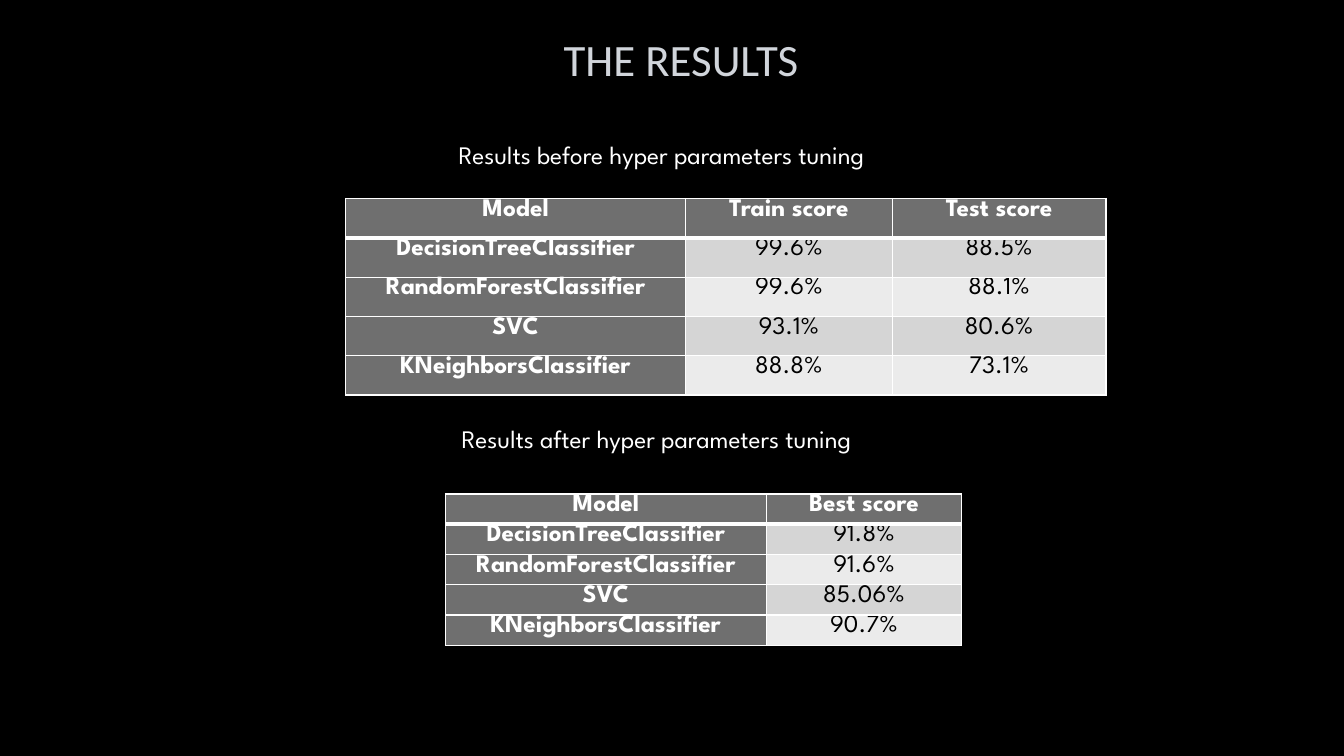
from lxml import etree
from pptx import Presentation
from pptx.dml.color import RGBColor
from pptx.enum.text import MSO_ANCHOR as Anchor, MSO_AUTO_SIZE as AutoSize, PP_ALIGN as Align
from pptx.oxml.ns import qn
from pptx.util import Inches, Pt

BLACK, WHITE, TITLE_GREY = "000000", "FFFFFF", "D1D5DB"
HEADING_FILL, BAND_FILLS = "6F6F6F", ("D5D5D5", "EBEBEB")
BODY_FONT = "League Spartan"

BEFORE_TUNING = [
    ("Model", "Train score", "Test score"),
    ("DecisionTreeClassifier", "99.6%", "88.5%"),
    ("RandomForestClassifier", "99.6%", "88.1%"),
    ("SVC", "93.1%", "80.6%"),
    ("KNeighborsClassifier", "88.8%", "73.1%"),
]
AFTER_TUNING = [
    ("Model", "Best score"),
    ("DecisionTreeClassifier", "91.8%"),
    ("RandomForestClassifier", "91.6%"),
    ("SVC", "85.06%"),
    ("KNeighborsClassifier", "90.7%"),
]


def color(hex_string):
    return RGBColor.from_string(hex_string)


def write(frame, text, size=18, font=BODY_FONT, ink=WHITE, bold=False, align=Align.CENTER):
    paragraph = frame.paragraphs[0]
    paragraph.alignment = align
    run = paragraph.add_run()
    run.text = text
    run.font.size = Pt(size)
    run.font.name = font
    run.font.bold = bold
    run.font.color.rgb = color(ink)


def add_border(cell, side, points):
    """Draw a white line on one side (L, R, T or B); call before filling the cell."""
    properties = cell._tc.get_or_add_tcPr()
    line = etree.SubElement(properties, qn(f"a:ln{side}"), w=str(Pt(points)))
    fill = etree.SubElement(line, qn("a:solidFill"))
    etree.SubElement(fill, qn("a:srgbClr"), val=WHITE)


def add_title(slide, left, top, width, height):
    title = slide.shapes.title
    title.left, title.top = Inches(left), Inches(top)
    title.width, title.height = Inches(width), Inches(height)
    title.text_frame.vertical_anchor = Anchor.MIDDLE
    write(title.text_frame, "THE RESULTS", size=32, font="Calibri", ink=TITLE_GREY)


def add_caption(slide, text, left, top, width):
    caption = slide.shapes.add_textbox(Inches(left), Inches(top), Inches(width), Inches(0.4))
    caption.text_frame.word_wrap = False
    caption.text_frame.auto_size = AutoSize.SHAPE_TO_FIT_TEXT
    write(caption.text_frame, text, align=Align.LEFT)


def format_score_cell(cell, text, row, column):
    heading = row == 0 or column == 0
    cell.margin_left = cell.margin_right = Inches(0.07)
    cell.margin_top = cell.margin_bottom = 0
    for side in "LRTB":
        under_header = (row, side) in ((0, "B"), (1, "T"))
        add_border(cell, side, 3 if under_header else 1)
    cell.fill.solid()
    cell.fill.fore_color.rgb = color(HEADING_FILL if heading else BAND_FILLS[(row - 1) % 2])
    write(cell.text_frame, text, ink=WHITE if heading else BLACK, bold=heading)


def add_score_table(slide, scores, left, top, column_widths, row_height):
    table = slide.shapes.add_table(
        len(scores), len(column_widths), Inches(left), Inches(top),
        Inches(sum(column_widths)), Inches(row_height * len(scores))).table
    for column, width in zip(table.columns, column_widths):
        column.width = Inches(width)
    for row, values in enumerate(scores):
        table.rows[row].height = Inches(row_height)
        for column, text in enumerate(values):
            format_score_cell(table.cell(row, column), text, row, column)


def add_results_slide(deck):
    slide = deck.slides.add_slide(deck.slide_layouts[5])
    slide.background.fill.solid()
    slide.background.fill.fore_color.rgb = color(BLACK)
    add_title(slide, 1.34, 0.2, 10.83, 0.76)
    add_caption(slide, "Results before hyper parameters tuning", 4.45, 1.33, 4.99)
    add_score_table(slide, BEFORE_TUNING, 3.43, 1.97, (3.37, 2.05, 2.12), 0.39)
    add_caption(slide, "Results after hyper parameters tuning", 4.48, 4.15, 4.75)
    add_score_table(slide, AFTER_TUNING, 4.42, 4.9, (3.18, 1.94), 0.23)


def main():
    deck = Presentation()
    deck.slide_width, deck.slide_height = Inches(13.33), Inches(7.5)
    add_results_slide(deck)
    deck.save("out.pptx")


if __name__ == "__main__":
    main()
